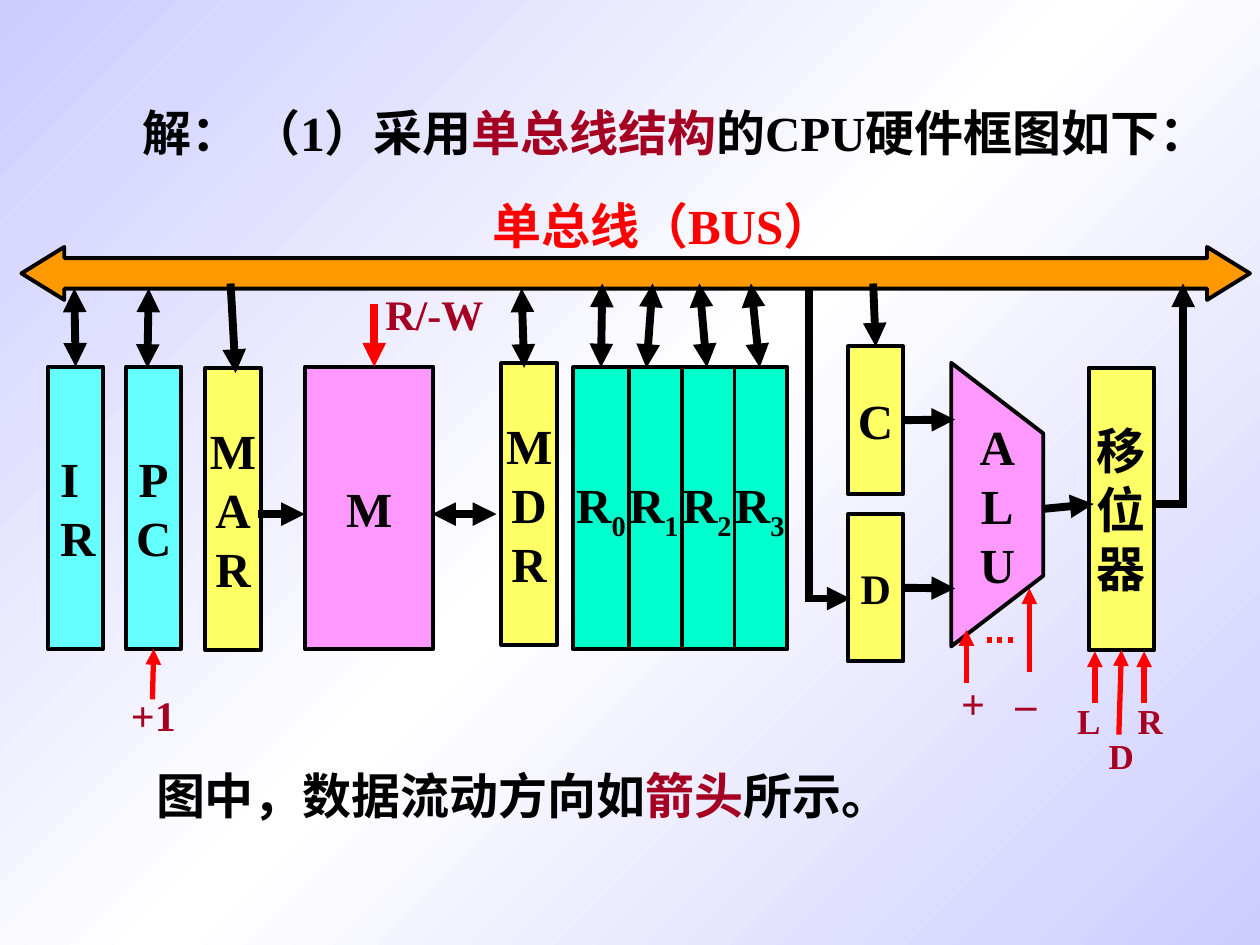
import copy

import pptx
import pptx.dml.color
import pptx.enum.dml
import pptx.enum.shapes
import pptx.enum.text
import pptx.oxml.ns
import pptx.util

COLORS = {
    "black": "000000", "crimson": "A50021", "red": "FF0000", "orange": "FF9900",
    "cyan": "66FFFF", "yellow": "FFFF66", "pink": "FF99FF", "green": "00FFCC",
    "lavender": "CCCCFF", "white": "FFFFFF",
}
RGB = {name: pptx.dml.color.RGBColor.from_string(code) for name, code in COLORS.items()}
ALIGN = pptx.enum.text.PP_ALIGN
MIDDLE = pptx.enum.text.MSO_ANCHOR.MIDDLE
PRESET = pptx.enum.shapes.MSO_SHAPE
qn = pptx.oxml.ns.qn

deck = pptx.Presentation()
deck.slide_width = pptx.util.Inches(10)
deck.slide_height = pptx.util.Inches(7.5)
page = deck.slides.add_slide(deck.slide_layouts[5])
COLUMN = deck.slide_width / 100
ROW = deck.slide_height / 75


def write(shape, lines, size=28, color="black", align=ALIGN.CENTER, anchor=MIDDLE, wrap=False):
    """Fill a shape with lines, each a list of (text, format) spans."""
    frame = shape.text_frame
    frame.auto_size = pptx.enum.text.MSO_AUTO_SIZE.NONE
    frame.word_wrap = wrap
    frame.vertical_anchor = anchor
    for number, line in enumerate(lines):
        para = frame.add_paragraph() if number else frame.paragraphs[0]
        para.alignment = align
        for text, style in line:
            span = para.add_run()
            span.text = text
            span.font.name = "Times New Roman"
            span.font.size = pptx.util.Pt(size)
            span.font.bold = True
            span.font.color.rgb = RGB[style.get("color", color)]
            if "baseline" in style:
                span.font._element.set("baseline", style["baseline"])


def connect(start, end, color="black", width=4.5, heads="tail", dash=None):
    """Draw a line between two ends, each a (column, row) or a (shape, side)."""
    points = [(0, 0) if hasattr(place, "shape_id") else (int(place * COLUMN), int(side * ROW))
              for place, side in (start, end)]
    wire = page.shapes.add_connector(pptx.enum.shapes.MSO_CONNECTOR.STRAIGHT, *points[0], *points[1])
    for (place, side), join in ((start, wire.begin_connect), (end, wire.end_connect)):
        if hasattr(place, "shape_id"):
            join(place, side)
    wire.line.color.rgb = RGB[color]
    wire.line.width = pptx.util.Pt(width)
    if dash:
        wire.line.dash_style = dash
    outline = wire.line._get_or_add_ln()
    for head in heads.split():
        outline.append(outline.makeelement(qn(f"a:{head}End"), {"type": "triangle"}))
    properties = wire._element.spPr
    properties.append(properties.makeelement(qn("a:effectLst"), {}))


# Background: white diagonal band between lavender corners
backdrop = page.background.fill
backdrop.gradient()
backdrop.gradient_angle = 315
stop_list = page._element.find(".//" + qn("a:gsLst"))
stop_list.insert(1, copy.deepcopy(stop_list[0]))
for stop, position, name in zip(backdrop.gradient_stops, (0, 0.5, 1), ("lavender", "white", "lavender")):
    stop.position = position
    stop.color.rgb = RGB[name]

# Title
title = page.shapes.title
title.left, title.top = int(3.3 * COLUMN), int(4.2 * ROW)
title.width, title.height = int(93.3 * COLUMN), int(12.5 * ROW)
write(title, [[("解： （1）采用", {}), ("单总线结构", {"color": "crimson"}),
               ("的CPU硬件框图如下：", {})]], align=ALIGN.LEFT, wrap=True)
title.text_frame.paragraphs[0]._p.get_or_add_pPr().set("indent", str(int(7 * COLUMN)))

# Units: name, letters, left, top, width, height, fill
units = [
    ("IR", "IR", 3.8, 29.1, 4.4, 22.4, "cyan"),
    ("PC", "PC", 10, 29.1, 4.4, 22.4, "cyan"),
    ("MAR", "MAR", 16.3, 29.2, 4.4, 22.4, "yellow"),
    ("M", "M", 24.2, 29.1, 10.2, 22.4, "pink"),
    ("MDR", "MDR", 39.8, 28.8, 4.4, 22.4, "yellow"),
    ("C", "C", 67.3, 27.5, 4.4, 11.7, "yellow"),
    ("D", "D", 67.3, 40.8, 4.4, 11.7, "yellow"),
    ("shifter", "移位器", 86.4, 29.2, 5.2, 22.4, "yellow"),
]
# Registers overlap, the first on top
units += [(f"R{n}", "R", 45.5 + 4.2 * n, 29.15, 4.4, 22.4, "green") for n in (3, 2, 1, 0)]

boxes = {}
for name, letters, left, top, width, height, fill in units:
    box = page.shapes.add_shape(PRESET.RECTANGLE, int(left * COLUMN), int(top * ROW),
                                int(width * COLUMN), int(height * ROW))
    box.fill.solid()
    box.fill.fore_color.rgb = RGB[fill]
    lines = [[(letter, {})] for letter in letters]
    if fill == "green":
        lines[0].append((name[1], {"baseline": "-25000"}))
    write(box, lines, size=24 if name == "D" else 28,
          align=ALIGN.LEFT if name == "IR" else ALIGN.CENTER)
    boxes[name] = box

# ALU trapezoid
corners = [(75.5, 51.3), (75.5, 28.8), (82.8, 34.4), (82.8, 45.7)]
corners = [(int(x * COLUMN), int(y * ROW)) for x, y in corners]
outline_builder = page.shapes.build_freeform(*corners[0])
outline_builder.add_line_segments(corners[1:], close=True)
alu = outline_builder.convert_to_shape()
alu.fill.solid()
alu.fill.fore_color.rgb = RGB["pink"]
write(alu, [[(letter, {})] for letter in "ALU"])

# Bus
bus = page.shapes.add_shape(PRESET.LEFT_RIGHT_ARROW, int(1.7 * COLUMN), int(19.6 * ROW),
                            int(97.5 * COLUMN), int(4.2 * ROW))
bus.adjustments[0], bus.adjustments[1] = 0.58, 0.81
bus.fill.solid()
bus.fill.fore_color.rgb = RGB["orange"]

for shape in (*boxes.values(), alu, bus):
    shape.shadow.inherit = False
    shape.line.color.rgb = RGB["black"]
    shape.line.width = pptx.util.Pt(2.25)

# Two-way data paths
for start, end in [
    ((5.9, 22.9), (boxes["IR"], 0)), ((11.8, 22.9), (11.7, 29.2)),
    ((41.4, 22.9), (41.6, 29.2)), ((34.3, 40.8), (39.4, 40.8)),
    ((47.8, 22.5), (boxes["R0"], 0)), ((51.8, 22.5), (51.3, 29.2)),
    ((55.5, 22.5), (boxes["R2"], 0)), ((59.6, 22.5), (boxes["R3"], 0)),
]:
    connect(start, end, heads="head tail")

# One-way data paths
for start, end in [
    ((18.3, 22.5), (18.7, 29.6)), ((20.5, 40.8), (24.2, 40.8)),
    ((69.3, 22.5), (boxes["C"], 0)), ((boxes["C"], 3), (75.8, 33.3)),
    ((boxes["D"], 3), (75.8, 46.7)), ((82.7, 40.4), (86.8, 40)),
    ((64.2, 47.5), (67.5, 47.5)), ((93.9, 40), (93.9, 22.5)),
]:
    connect(start, end)
connect((64.2, 22.8), (64.2, 47.8), heads="")
connect((91.7, 40), (94.2, 40), heads="")

# Control signals
connect((29.7, 24.1), (29.7, 29.1), color="red")
for start, end in [
    ((76.7, 54.2), (76.7, 50)), ((81.7, 53.3), (81.7, 46.7)),
    ((12.1, 55.5), (boxes["PC"], 2)), ((86.9, 55.8), (86.9, 51.7)),
    ((88.8, 58.3), (boxes["shifter"], 2)), ((90.8, 55.8), (90.8, 51.7)),
]:
    connect(start, end, color="red", width=3)
connect((78.3, 50.8), (80.8, 50.8), color="red", width=3, heads="",
        dash=pptx.enum.dml.MSO_LINE.ROUND_DOT)

# Labels: spans, left, top, width, height, size, colour
labels = [
    ([("单总线（BUS）", {})], 38.1, 15, 30.8, 5.7, 28, "red"),
    ([("R/-W", {})], 29.6, 22.4, 9.8, 5, 24, "crimson"),
    ([("+1", {})], 9.4, 54.2, 5.5, 5, 24, "crimson"),
    ([("+\t–", {})], 75.3, 53.3, 8, 5, 24, "crimson"),
    ([("L", {})], 84.5, 55, 3.8, 4.4, 20, "crimson"),
    ([("D", {})], 87, 57.8, 4, 4.4, 20, "crimson"),
    ([("R", {})], 89.3, 55, 4, 4.4, 20, "crimson"),
    ([("图中，数据流动方向如", {}), ("箭头", {"color": "crimson"}), ("所示。", {})],
     11.4, 60.3, 63.8, 5.7, 28, "black"),
]
for spans, left, top, width, height, size, color in labels:
    label = page.shapes.add_textbox(int(left * COLUMN), int(top * ROW),
                                    int(width * COLUMN), int(height * ROW))
    write(label, [spans], size=size, color=color, align=ALIGN.LEFT,
          anchor=pptx.enum.text.MSO_ANCHOR.TOP, wrap=len(spans) > 1)
    if "\t" in spans[0][0]:
        layout = label.text_frame.paragraphs[0]._p.get_or_add_pPr()
        tabs = layout.makeelement(qn("a:tabLst"), {})
        tabs.append(tabs.makeelement(qn("a:tab"), {"pos": str(int(4.3 * COLUMN)), "algn": "l"}))
        layout.append(tabs)

deck.save("out.pptx")
